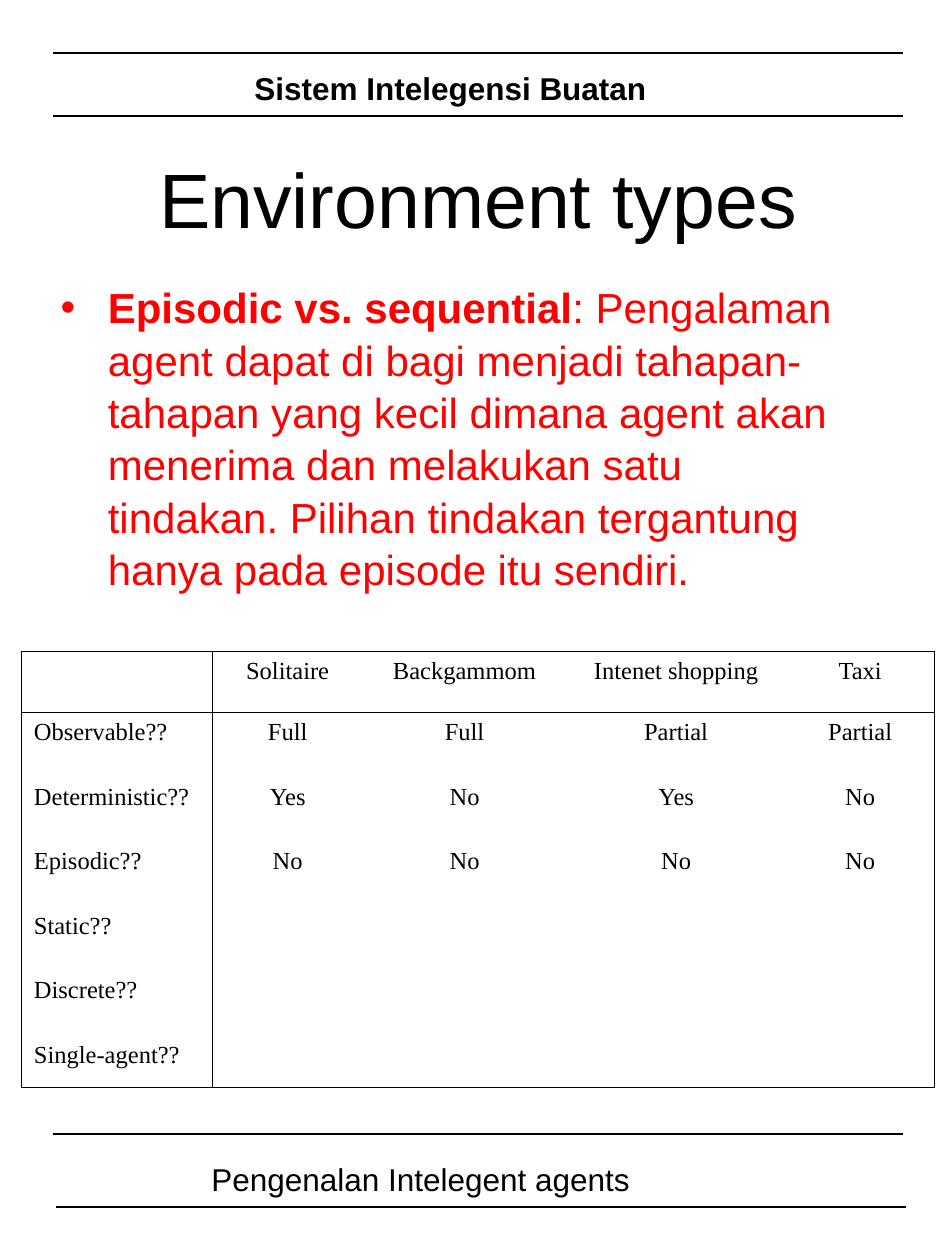
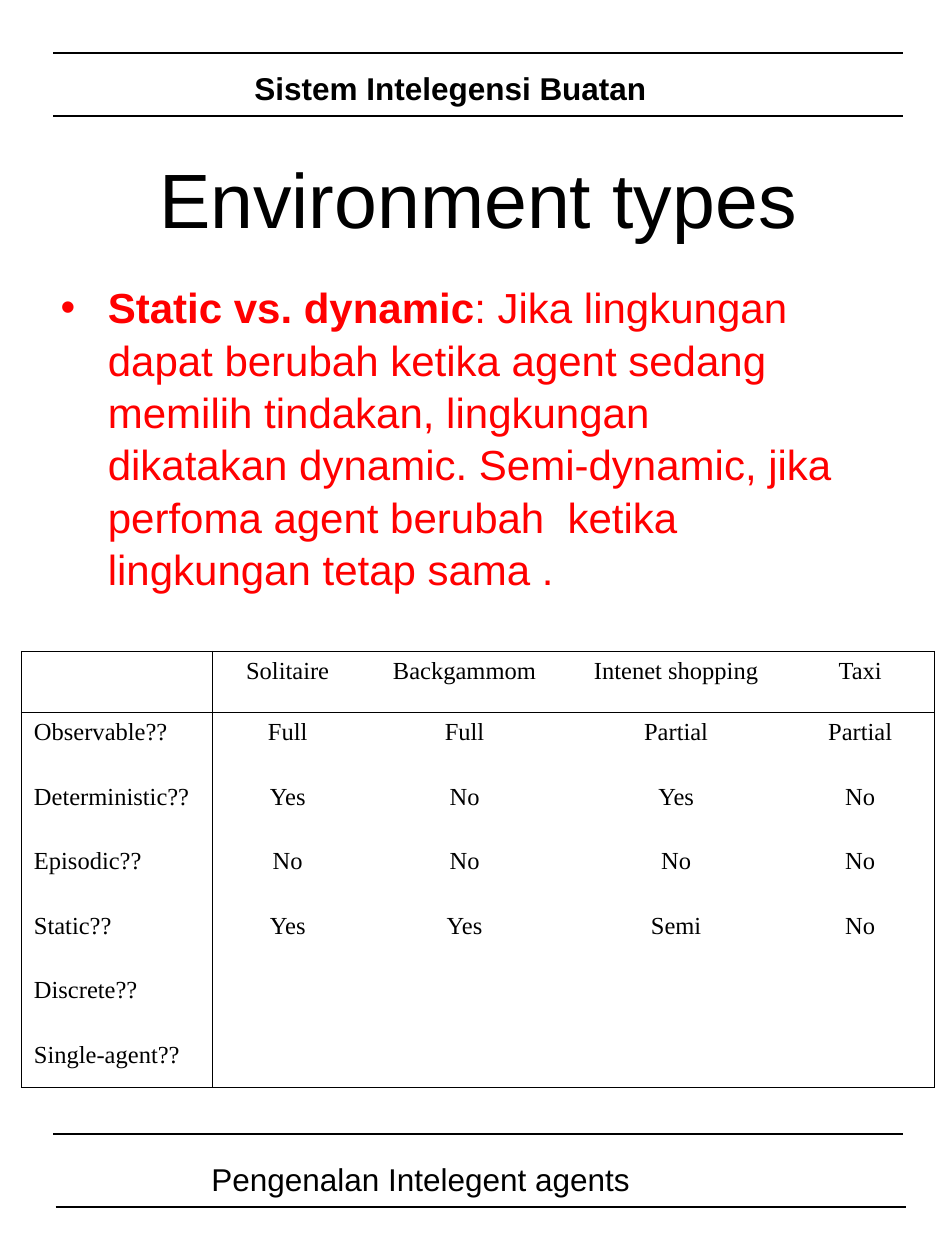
from dataclasses import dataclass

from lxml.etree import SubElement
from pptx import Presentation
from pptx.dml.color import RGBColor
from pptx.enum.shapes import MSO_CONNECTOR
from pptx.enum.text import MSO_ANCHOR, MSO_AUTO_SIZE, PP_ALIGN
from pptx.oxml.ns import qn
from pptx.presentation import Presentation as PresentationType
from pptx.shapes.base import BaseShape
from pptx.slide import Slide
from pptx.table import _Cell
from pptx.text.text import TextFrame, _Paragraph
from pptx.util import Cm, Pt

BLACK = "000000"
RED = "FF0000"
SANS = "Arial"
SERIF = "Times New Roman"
TITLE = "Environment types"


@dataclass(frozen=True)
class Box:
    left: float
    top: float
    width: float
    height: float


@dataclass(frozen=True)
class Rule:
    left: float
    top: float


@dataclass(frozen=True)
class Label:
    text: str
    box: Box
    bold: bool = False


@dataclass(frozen=True)
class TextStyle:
    size: float
    font: str = SANS
    color: str = BLACK


@dataclass(frozen=True)
class EnvironmentSlide:
    term: str
    explanation: str
    answered_rows: int


RULE_LENGTH = 17.14
RULES = [Rule(1.07, 1.07), Rule(1.07, 2.34), Rule(1.07, 22.86), Rule(1.12, 24.33)]
LABELS = [
    Label("Sistem Intelegensi Buatan", Box(4.88, 1.27, 8.69, 1.02), True),
    Label("Pengenalan Intelegent agents", Box(4.01, 23.27, 10.8, 1.02)),
]
TITLE_BOX = Box(1.07, 2.74, 17.15, 2.49)
BODY_BOX = Box(0.97, 5.51, 16.18, 6.99)
TABLE_BOX = Box(0.43, 13.13, 18.42, 8.78)

TITLE_STYLE = TextStyle(44)
LABEL_STYLE = TextStyle(18)
BODY_STYLE = TextStyle(24, color=RED)
CELL_STYLE = TextStyle(14, SERIF)

COLUMN_WIDTHS = [3.86, 3.02, 4.11, 4.42, 3.0]
ROW_HEIGHTS = [1.24] + [1.3] * 5 + [1.04]
HEADINGS = ["", "Solitaire", "Backgammom", "Intenet shopping", "Taxi"]
PROPERTIES = [
    ["Observable??", "Full", "Full", "Partial", "Partial"],
    ["Deterministic??", "Yes", "No", "Yes", "No"],
    ["Episodic??", "No", "No", "No", "No"],
    ["Static??", "Yes", "Yes", "Semi", "No"],
    ["Discrete??"],
    ["Single-agent??"],
]

SLIDES = [
    EnvironmentSlide(
        "Episodic vs. sequential",
        ": Pengalaman agent dapat di bagi menjadi tahapan-tahapan yang kecil "
        "dimana agent akan menerima dan melakukan satu tindakan. Pilihan "
        "tindakan tergantung hanya pada episode itu sendiri.",
        3,
    ),
    EnvironmentSlide(
        "Static vs. dynamic",
        ": Jika lingkungan dapat berubah ketika agent sedang memilih tindakan, "
        "lingkungan dikatakan dynamic. Semi-dynamic, jika perfoma agent "
        "berubah  ketika lingkungan tetap sama .",
        4,
    ),
]


def rgb(color: str) -> RGBColor:
    return RGBColor.from_string(color)


def place(shape: BaseShape, box: Box) -> None:
    shape.left, shape.top = Cm(box.left), Cm(box.top)
    shape.width, shape.height = Cm(box.width), Cm(box.height)


def add_run(paragraph: _Paragraph, text: str, style: TextStyle, bold: bool = False) -> None:
    run = paragraph.add_run()
    run.text = text
    run.font.name = style.font
    run.font.size = Pt(style.size)
    run.font.bold = bold
    run.font.color.rgb = rgb(style.color)


def prepare_frame(frame: TextFrame, anchor: MSO_ANCHOR, auto_size: MSO_AUTO_SIZE) -> _Paragraph:
    frame.word_wrap = True
    frame.auto_size = auto_size
    frame.vertical_anchor = anchor
    return frame.paragraphs[0]


def add_rule(slide: Slide, rule: Rule) -> None:
    connector = slide.shapes.add_connector(
        MSO_CONNECTOR.STRAIGHT,
        Cm(rule.left), Cm(rule.top), Cm(rule.left + RULE_LENGTH), Cm(rule.top),
    )
    connector.line.color.rgb = rgb(BLACK)
    connector.line.width = Pt(0.75)
    SubElement(connector._element.spPr, qn("a:effectLst"))


def add_label(slide: Slide, label: Label) -> None:
    box = label.box
    shape = slide.shapes.add_textbox(Cm(box.left), Cm(box.top), Cm(box.width), Cm(box.height))
    paragraph = prepare_frame(shape.text_frame, MSO_ANCHOR.TOP, MSO_AUTO_SIZE.SHAPE_TO_FIT_TEXT)
    add_run(paragraph, label.text, LABEL_STYLE, label.bold)


def add_bullet(paragraph: _Paragraph, color: str) -> None:
    properties = paragraph._p.get_or_add_pPr()
    properties.set("marL", str(Cm(0.95)))
    properties.set("indent", str(Cm(-0.95)))
    bullet_color = SubElement(properties, qn("a:buClr"))
    SubElement(bullet_color, qn("a:srgbClr"), val=color)
    SubElement(properties, qn("a:buFont"), typeface=SANS)
    SubElement(properties, qn("a:buChar"), char="•")


def fill_title(slide: Slide) -> None:
    title = slide.shapes.title
    place(title, TITLE_BOX)
    paragraph = prepare_frame(title.text_frame, MSO_ANCHOR.MIDDLE, MSO_AUTO_SIZE.NONE)
    paragraph.alignment = PP_ALIGN.CENTER
    add_run(paragraph, TITLE, TITLE_STYLE)


def fill_body(slide: Slide, content: EnvironmentSlide) -> None:
    body = slide.placeholders[1]
    place(body, BODY_BOX)
    paragraph = prepare_frame(body.text_frame, MSO_ANCHOR.TOP, MSO_AUTO_SIZE.NONE)
    add_bullet(paragraph, RED)
    paragraph.space_before = Pt(0)
    paragraph.line_spacing = 1.04
    add_run(paragraph, content.term, BODY_STYLE, True)
    add_run(paragraph, content.explanation, BODY_STYLE)


def set_borders(cell: _Cell, row: int, column: int) -> None:
    last_row, last_column = len(ROW_HEIGHTS) - 1, len(COLUMN_WIDTHS) - 1
    visible = {
        "a:lnL": column in (0, 1),
        "a:lnR": column in (0, last_column),
        "a:lnT": row in (0, 1),
        "a:lnB": row in (0, last_row),
    }
    properties = cell._tc.get_or_add_tcPr()
    for tag, is_visible in visible.items():
        line = SubElement(properties, qn(tag), w=str(Pt(0.45)))
        if is_visible:
            fill = SubElement(line, qn("a:solidFill"))
            SubElement(fill, qn("a:srgbClr"), val=BLACK)
        else:
            SubElement(line, qn("a:noFill"))


def add_property_table(slide: Slide, answered_rows: int) -> None:
    box = TABLE_BOX
    table = slide.shapes.add_table(
        len(ROW_HEIGHTS), len(COLUMN_WIDTHS),
        Cm(box.left), Cm(box.top), Cm(box.width), Cm(box.height),
    ).table
    table.first_row = False
    table.horz_banding = False
    for column, width in zip(table.columns, COLUMN_WIDTHS):
        column.width = Cm(width)
    for row, height in zip(table.rows, ROW_HEIGHTS):
        row.height = Cm(height)

    for row_index in range(len(ROW_HEIGHTS)):
        texts = ([HEADINGS] + PROPERTIES)[row_index]
        if row_index > answered_rows:
            texts = texts[:1]
        for column_index in range(len(COLUMN_WIDTHS)):
            cell = table.cell(row_index, column_index)
            set_borders(cell, row_index, column_index)
            cell.fill.background()
            if column_index < len(texts) and texts[column_index]:
                paragraph = cell.text_frame.paragraphs[0]
                paragraph.alignment = PP_ALIGN.CENTER if column_index else PP_ALIGN.LEFT
                add_run(paragraph, texts[column_index], CELL_STYLE)


def add_environment_slide(presentation: PresentationType, content: EnvironmentSlide) -> None:
    slide = presentation.slides.add_slide(presentation.slide_layouts[1])
    for rule in RULES:
        add_rule(slide, rule)
    for label in LABELS:
        add_label(slide, label)
    fill_title(slide)
    fill_body(slide, content)
    add_property_table(slide, content.answered_rows)


def main() -> None:
    presentation = Presentation()
    presentation.slide_width = Cm(19.05)
    presentation.slide_height = Cm(25.4)
    for content in SLIDES:
        add_environment_slide(presentation, content)
    presentation.save("out.pptx")


if __name__ == "__main__":
    main()
